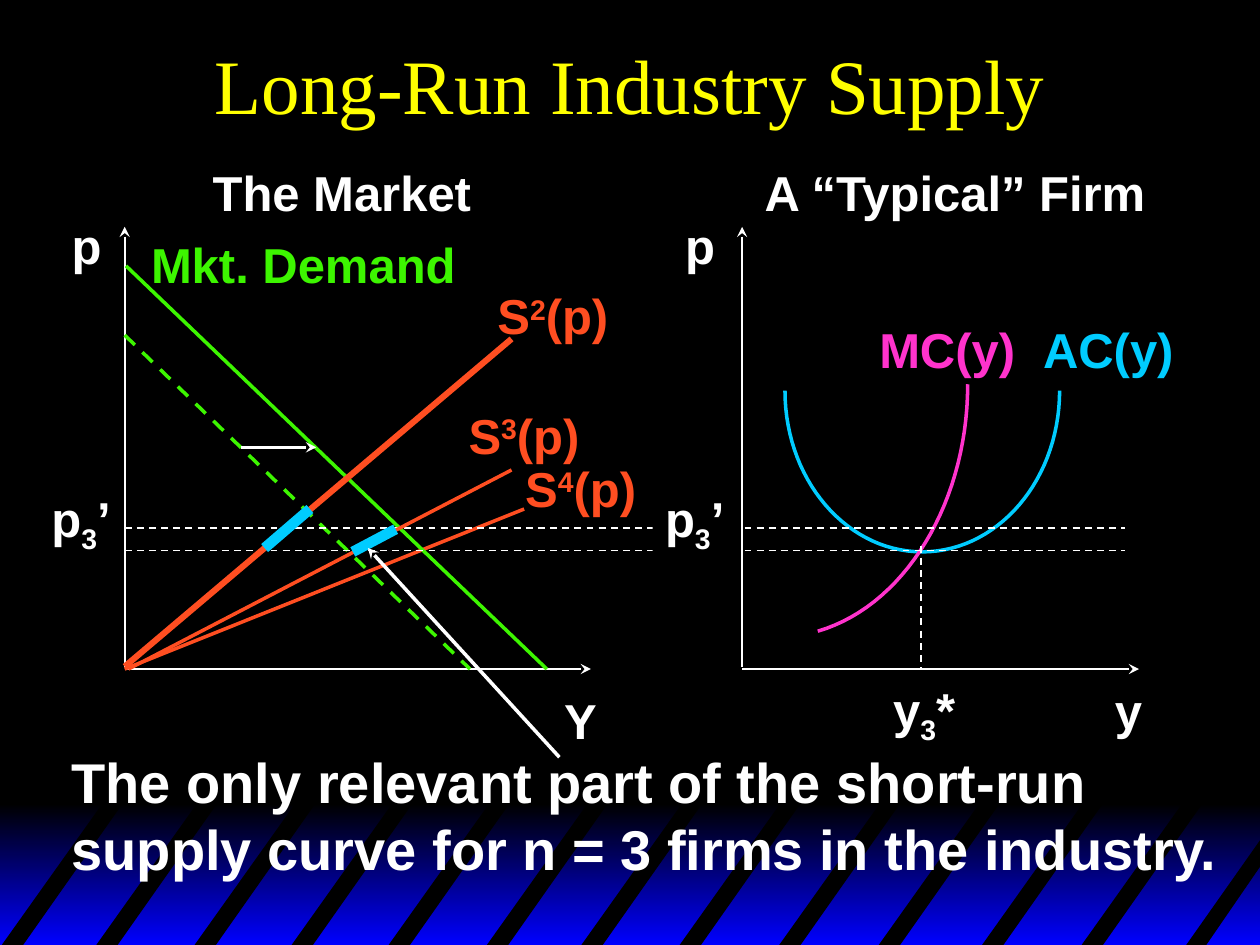
from dataclasses import dataclass
from typing import Optional

from lxml.etree import SubElement
from pptx import Presentation
from pptx.dml.color import RGBColor
from pptx.enum.dml import MSO_LINE
from pptx.enum.shapes import MSO_CONNECTOR, MSO_SHAPE
from pptx.enum.text import MSO_ANCHOR, MSO_AUTO_SIZE, PP_ALIGN
from pptx.oxml.ns import qn
from pptx.util import Inches, Pt


@dataclass(frozen=True)
class Theme:
    black: str = "000000"
    blue: str = "0000FF"
    white: str = "FFFFFF"
    title: str = "FFFF00"
    demand: str = "3DF500"
    supply: str = "FF4E21"
    average: str = "00CCFF"
    marginal: str = "FF33CC"
    title_font: str = "Times New Roman"
    font: str = "Arial"
    title_size: float = 44
    note_size: float = 32
    label_size: float = 28
    thin: float = 1
    medium: float = 2
    thick: float = 3.5
    band: float = 6


T = Theme()


@dataclass(frozen=True)
class Label:
    text: str
    left: float
    top: float
    width: float
    color: str = T.white
    base: int = 0
    height: float = 0.57
    size: float = T.label_size
    fill: Optional[str] = None


@dataclass(frozen=True)
class Line:
    start: tuple
    end: tuple
    color: str = T.white
    width: float = T.thin
    dashed: bool = False
    head: bool = False
    tail: bool = False


@dataclass(frozen=True)
class Curve:
    points: tuple
    color: str


ORIGIN_X, FIRM_X, AXIS_TOP, AXIS_Y = 0.99, 5.89, 1.8, 5.31
PRICES = (4.19, 4.37)
STRIPE_TOP, STRIPE_BOTTOM = 6.34, 7.52
STRIPES = (0, 0.75, 1.53, 2.3, 3.07, 3.85, 4.6, 5.38, 6.17, 6.96, 7.78, 8.57)

DIAGRAM = [
    Line((ORIGIN_X, AXIS_TOP), (ORIGIN_X, 5.29), head=True),
    Line((ORIGIN_X, AXIS_Y), (4.69, AXIS_Y), tail=True),
    Line((FIRM_X, AXIS_TOP), (FIRM_X, 5.29), head=True),
    Line((FIRM_X, AXIS_Y), (9.04, AXIS_Y), tail=True),
    Curve(((8.41, 3.1), (8.41, 3.81), (7.92, 4.38), (7.32, 4.38),
           (6.72, 4.38), (6.23, 3.81), (6.23, 3.1)), T.average),
    Curve(((7.68, 3.05), (7.68, 3.99), (7.18, 4.81), (6.49, 5.01)), T.marginal),
    Label("S|3|(p)", 3.62, 3.17, 1.11, T.supply, 30),
    Label("Mkt. Demand", 1.1, 1.81, 2.62, T.demand),
    Label("AC(y)", 8.18, 2.49, 1.24, T.average),
    Label("MC(y)", 6.88, 2.49, 1.28, T.marginal),
    Label("y", 8.75, 5.35, 0.42),
    Label("A “Typical” Firm", 5.97, 1.24, 3.27),
    Label("The Market", 1.59, 1.24, 2.26),
    Label("p", 0.47, 1.66, 0.44),
    Label("p", 5.34, 1.66, 0.44),
    Label("Y", 4.38, 5.43, 0.46),
    Label("y|3|*", 6.99, 5.34, 0.72, base=-25),
    Line((7.31, 4.33), (7.31, AXIS_Y), dashed=True),
    Line((ORIGIN_X, 2.66), (3.73, AXIS_Y), T.demand, T.medium, dashed=True),
    Line((ORIGIN_X, AXIS_Y), (4.16, 4.04), T.supply, T.medium),
    Label("S|4|(p)", 4.07, 3.59, 1.11, T.supply, 30),
    Line((1, 2.11), (4.34, AXIS_Y), T.demand, T.medium),
    Line((1.91, 3.55), (2.51, 3.55), width=T.medium, tail=True),
    Label("p|3|’", 0.31, 3.83, 0.69, base=-25),
    *(Line((ORIGIN_X, y), (8.93, y), dashed=True) for y in PRICES),
    Label("p|3|’", 5.18, 3.83, 0.69, base=-25, fill=T.black),
    Line((1.02, AXIS_Y), (4.06, 3.73), T.supply, T.medium),
    Label("The only relevant part of the short-run\n"
          "supply curve for n = 3 firms in the industry.",
          0.47, 5.88, 9.31, height=1.17, size=T.note_size),
    Line((2.8, 4.38), (3.14, 4.2), T.average, T.band),
    Line((2.92, 4.35), (4.44, 6.01), width=T.medium, head=True),
    Line((ORIGIN_X, 5.29), (4.06, 2.69), T.supply, T.thick),
    Label("S|2|(p)", 3.85, 2.22, 1.1, T.supply, 30),
    Line((2.1, 4.35), (2.46, 4.04), T.average, T.band),
]


def rgb(color: str) -> RGBColor:
    return RGBColor.from_string(color)


def write(tf, text: str, *, size: float, color: str, font: str = T.font,
          bold: bool = True, base: int = 0, align=PP_ALIGN.LEFT) -> None:
    p = tf.paragraphs[0]
    p.alignment = align
    for row, line in enumerate(text.split("\n")):
        if row:
            p.add_line_break()
        for i, part in enumerate(line.split("|")):
            r = p.add_run()
            r.text = part
            r.font.name, r.font.size, r.font.bold = font, Pt(size), bold
            r.font.color.rgb = rgb(color)
            if i % 2:
                r.font._element.set("baseline", str(base * 1000))


def draw_label(shapes, label: Label) -> None:
    box = [Inches(v) for v in (label.left, label.top, label.width, label.height)]
    if label.fill:
        sp = shapes.add_shape(MSO_SHAPE.RECTANGLE, *box)
        sp.shadow.inherit = False
        sp.fill.solid()
        sp.fill.fore_color.rgb = rgb(label.fill)
        sp.line.fill.background()
    else:
        sp = shapes.add_textbox(*box)
    tf = sp.text_frame
    tf.word_wrap = False
    tf.auto_size = MSO_AUTO_SIZE.SHAPE_TO_FIT_TEXT
    tf.vertical_anchor = MSO_ANCHOR.TOP
    write(tf, label.text, size=label.size, color=label.color, base=label.base)


def draw_line(shapes, line: Line) -> None:
    ends = [Inches(v) for v in (*line.start, *line.end)]
    sp = shapes.add_connector(MSO_CONNECTOR.STRAIGHT, *ends)
    sp.line.color.rgb = rgb(line.color)
    sp.line.width = Pt(line.width)
    if line.dashed:
        sp.line.dash_style = MSO_LINE.DASH
    ln = sp.line._get_or_add_ln()
    for tag, wanted in (("a:headEnd", line.head), ("a:tailEnd", line.tail)):
        if wanted:
            SubElement(ln, qn(tag), type="stealth")
    SubElement(sp._element.spPr, qn("a:effectLst"))


def draw_outline(shapes, points: list, close: bool):
    pts = [(Inches(x), Inches(y)) for x, y in points]
    fb = shapes.build_freeform(*pts[0])
    fb.add_line_segments(pts[1:], close=close)
    sp = fb.convert_to_shape()
    sp.shadow.inherit = False
    return sp


def draw_curve(shapes, curve: Curve, steps: int = 30) -> None:
    points = [curve.points[0]]
    for i in range(0, len(curve.points) - 1, 3):
        for step in range(1, steps + 1):
            t = step / steps
            weights = ((1 - t) ** 3, 3 * t * (1 - t) ** 2, 3 * t * t * (1 - t), t ** 3)
            points.append(tuple(sum(w * q[axis] for w, q in zip(weights, curve.points[i:i + 4]))
                                for axis in (0, 1)))
    sp = draw_outline(shapes, points, close=False)
    sp.fill.background()
    sp.line.color.rgb = rgb(curve.color)
    sp.line.width = Pt(T.medium)


def draw_footer(shapes) -> None:
    sp = shapes.add_shape(MSO_SHAPE.RECTANGLE, 0, Inches(6.38), Inches(10.02), Inches(1.12))
    sp.shadow.inherit = False
    sp.line.fill.background()
    sp.fill.gradient()
    sp.fill.gradient_angle = 270
    for stop, color, position in zip(sp.fill.gradient_stops, (T.black, T.blue), (0, 1)):
        stop.color.rgb = rgb(color)
        stop.position = position
    stripes = [[(x, STRIPE_BOTTOM), (x + 0.84, STRIPE_TOP), (x + 1, STRIPE_TOP),
                (x + 0.17, STRIPE_BOTTOM)] for x in STRIPES]
    stripes.append([(9.4, STRIPE_BOTTOM), (10.02, 6.64), (10.02, 6.85), (9.56, STRIPE_BOTTOM)])
    for points in stripes:
        sp = draw_outline(shapes, points, close=True)
        sp.fill.solid()
        sp.fill.fore_color.rgb = rgb(T.black)
        sp.line.fill.background()


def main() -> None:
    prs = Presentation()
    prs.slide_width, prs.slide_height = Inches(10), Inches(7.5)
    s = prs.slides.add_slide(prs.slide_layouts[6])
    s.background.fill.solid()
    s.background.fill.fore_color.rgb = rgb(T.black)
    draw_footer(s.shapes)
    tf = s.shapes.add_textbox(0, 0, Inches(10), Inches(1.33)).text_frame
    tf.word_wrap = True
    tf.vertical_anchor = MSO_ANCHOR.MIDDLE
    write(tf, "Long-Run Industry Supply", size=T.title_size, color=T.title,
          font=T.title_font, bold=False, align=PP_ALIGN.CENTER)
    draw = {Label: draw_label, Line: draw_line, Curve: draw_curve}
    for item in DIAGRAM:
        draw[type(item)](s.shapes, item)
    prs.save("out.pptx")


if __name__ == "__main__":
    main()
